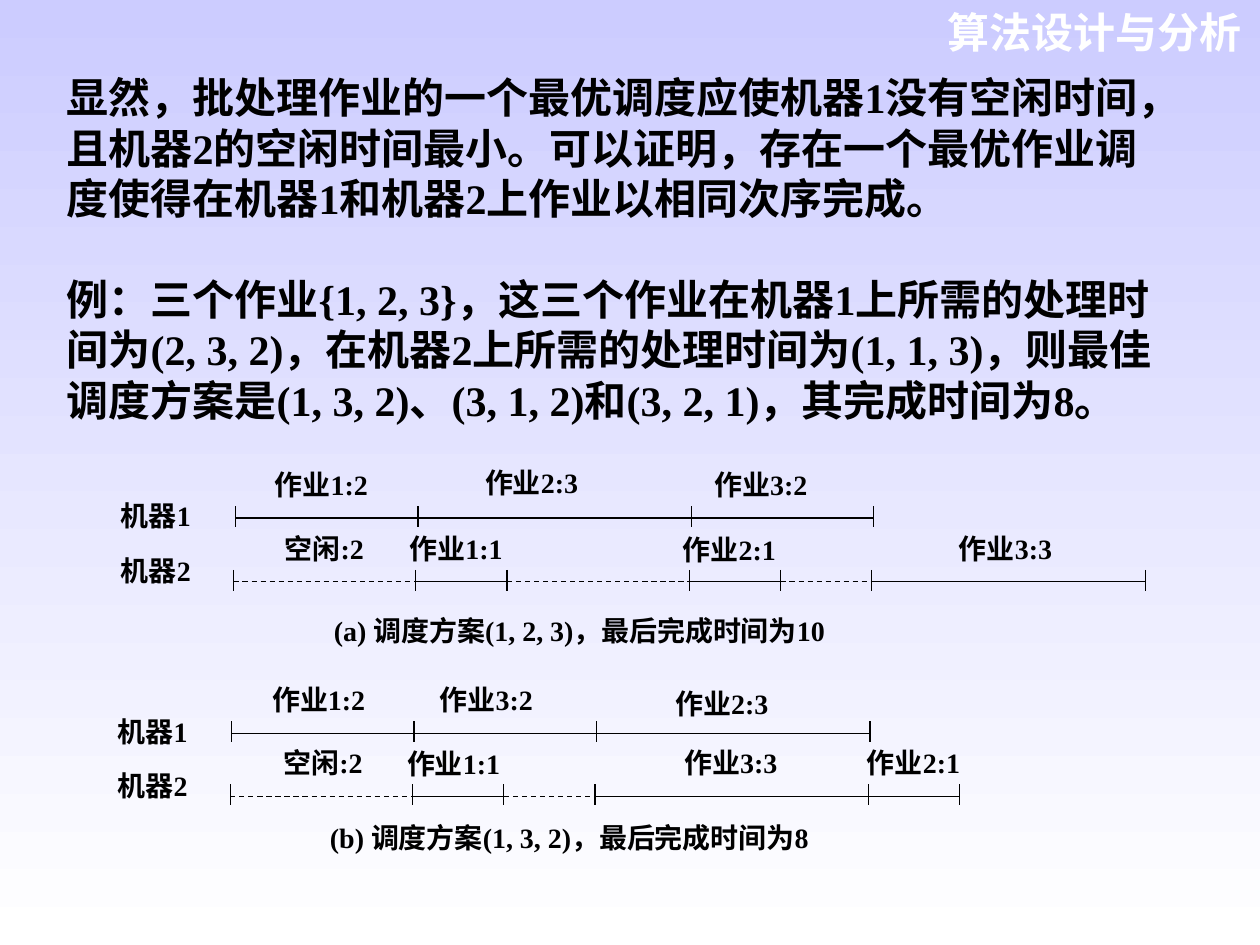
from dataclasses import dataclass

from lxml.etree import SubElement
from pptx import Presentation
from pptx.dml.color import RGBColor
from pptx.enum.dml import MSO_LINE
from pptx.enum.shapes import MSO_CONNECTOR
from pptx.enum.text import PP_ALIGN
from pptx.oxml.ns import qn
from pptx.util import Pt

BLACK = RGBColor(0x00, 0x00, 0x00)
WHITE = RGBColor(0xFF, 0xFF, 0xFF)
LAVENDER = RGBColor(0xCC, 0xCC, 0xFF)
SERIF = "Times New Roman"

TIME_UNIT = 52.1
TICK_ABOVE, TICK_BELOW = 6.8, 5
LABEL_RISE = 25.2
LABEL_WIDTH, LABEL_HEIGHT = 76, 18

HEADER = "算法设计与分析"
BODY = [
    "显然，批处理作业的一个最优调度应使机器1没有空闲时间，且机器2的空闲时间最小。"
    "可以证明，存在一个最优作业调度使得在机器1和机器2上作业以相同次序完成。",
    "例：三个作业{1, 2, 3}，这三个作业在机器1上所需的处理时间为(2, 3, 2)，"
    "在机器2上所需的处理时间为(1, 1, 3)，则最佳调度方案是(1, 3, 2)、(3, 1, 2)和(3, 2, 1)，"
    "其完成时间为8。",
]


@dataclass
class Stage:
    """A stretch of machine time; label_drop lowers its label."""
    length: int
    label: str = ""
    label_left: float = 0
    label_drop: float = 0
    idle: bool = False


@dataclass
class Machine:
    name: str
    name_left: float
    name_rise: float
    start: float
    axis: float
    stages: list


MACHINES = [
    Machine("机器1", 69.1, 7.2, 134.6, 296, [
        Stage(2, "作业1:2", 157),
        Stage(3, "作业2:3", 277.2, -0.8),
        Stage(2, "作业3:2", 408.2),
    ]),
    Machine("机器2", 69.1, 12.2, 133.4, 332.5, [
        Stage(2, "空闲:2", 162.7, idle=True),
        Stage(1, "作业1:1", 234),
        Stage(2, idle=True),
        Stage(1, "作业2:1", 390.2, 0.8),
        Stage(1, idle=True),
        Stage(3, "作业3:3", 548),
    ]),
    Machine("机器1", 67.3, 7.2, 132.4, 419, [
        Stage(2, "作业1:2", 155.5),
        Stage(2, "作业3:2", 251.3),
        Stage(3, "作业2:3", 385.9, 2.2),
    ]),
    Machine("机器2", 67.3, 12.2, 131.6, 455, [
        Stage(2, "空闲:2", 162, idle=True),
        Stage(1, "作业1:1", 232.6, 0.4),
        Stage(1, idle=True),
        Stage(3, "作业3:3", 391),
        Stage(1, "作业2:1", 495.4),
    ]),
]

CAPTIONS = [
    ("(a) 调度方案(1, 2, 3)，最后完成时间为10", 190.8, 354.3),
    ("(b) 调度方案(1, 3, 2)，最后完成时间为8", 188.6, 472.5),
]


def paint_background(slide):
    fill = slide.background.fill
    fill.gradient()
    fill.gradient_angle = 270
    for stop, position, color in zip(fill.gradient_stops, (0, 1), (LAVENDER, WHITE)):
        stop.position = position
        stop.color.rgb = color


def add_text(slide, paragraphs, left, top, width, height, size,
             font=SERIF, color=BLACK, align=PP_ALIGN.LEFT):
    frame = slide.shapes.add_textbox(Pt(left), Pt(top), Pt(width), Pt(height)).text_frame
    frame.word_wrap = True
    frame.text = "\n".join(paragraphs)
    for paragraph in frame.paragraphs:
        paragraph.alignment = align
        paragraph.font.name = font
        paragraph.font.size = Pt(size)
        paragraph.font.bold = True
        paragraph.font.color.rgb = color
    return frame


def add_label(slide, text, left, top, width=LABEL_WIDTH):
    frame = add_text(slide, [text], left, top, width, LABEL_HEIGHT, 16,
                     align=PP_ALIGN.JUSTIFY)
    frame.margin_left = frame.margin_right = 0
    frame.margin_top = frame.margin_bottom = 0
    frame.paragraphs[0].line_spacing = 0.8


def add_line(slide, x1, y1, x2, y2, dashed=False):
    connector = slide.shapes.add_connector(
        MSO_CONNECTOR.STRAIGHT, Pt(x1), Pt(y1), Pt(x2), Pt(y2))
    connector.line.color.rgb = BLACK
    connector.line.width = Pt(0.75)
    if dashed:
        connector.line.dash_style = MSO_LINE.DASH
    SubElement(connector._element.spPr, qn("a:effectLst"))


def add_tick(slide, x, axis):
    add_line(slide, x, axis - TICK_ABOVE, x, axis + TICK_BELOW)


def add_timeline(slide, machine):
    axis = machine.axis
    add_label(slide, machine.name, machine.name_left, axis - machine.name_rise)
    x = machine.start
    add_tick(slide, x, axis)
    for stage in machine.stages:
        end = x + stage.length * TIME_UNIT
        add_line(slide, x, axis, end, axis, stage.idle)
        add_tick(slide, end, axis)
        if stage.label:
            add_label(slide, stage.label, stage.label_left,
                      axis - LABEL_RISE + stage.label_drop)
        x = end


def main():
    presentation = Presentation()
    presentation.slide_width, presentation.slide_height = Pt(720), Pt(540)
    slide = presentation.slides.add_slide(presentation.slide_layouts[6])
    paint_background(slide)
    add_text(slide, [HEADER], 521.3, 0, 195, 36, 24, "Arial", WHITE, PP_ALIGN.RIGHT)
    body = add_text(slide, BODY, 31, 37.5, 648, 237.5, 24)
    body.paragraphs[1].space_before = Pt(28.8)
    for machine in MACHINES:
        add_timeline(slide, machine)
    for caption, left, top in CAPTIONS:
        add_label(slide, caption, left, top, 302)
    presentation.save("out.pptx")


if __name__ == "__main__":
    main()
